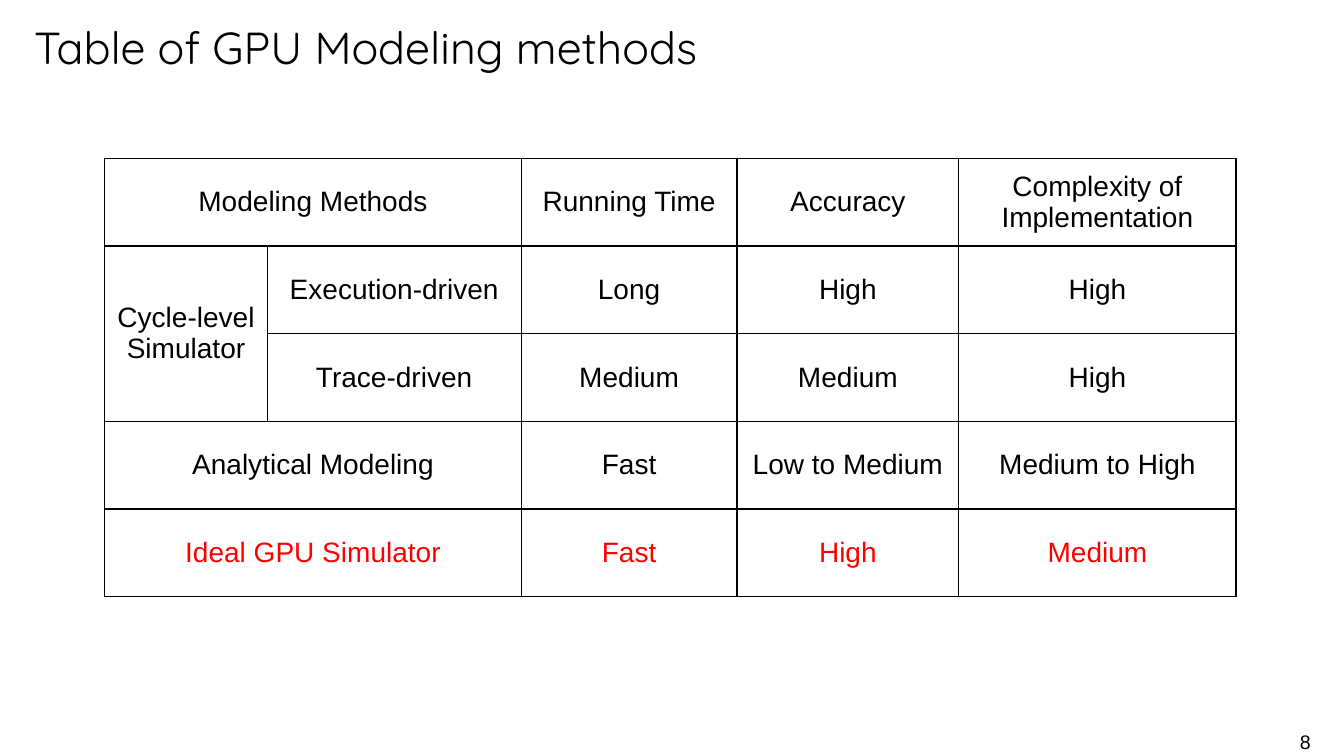
from dataclasses import dataclass

from pptx import Presentation
from pptx import util as u
from pptx.dml.color import RGBColor
from pptx.enum import text
from pptx.oxml import parse_xml
from pptx.oxml.ns import nsdecls

PX = 9144  # EMU per px, 100 px to the inch


@dataclass(frozen=True)
class Theme:
    ink: str = "000000"
    ideal: str = "FF0000"
    title_font: str = "Quicksand"
    body_font: str = "Arial"
    title_size: int = 32
    table_size: int = 20
    number_size: int = 14
    border_points: int = 1


@dataclass(frozen=True)
class Box:
    left: int
    top: int
    width: int
    height: int

    def emu(self) -> tuple[int, ...]:
        return tuple(side * PX for side in (self.left, self.top, self.width, self.height))


@dataclass(frozen=True)
class Label:
    box: Box
    words: str
    font: str
    size: int
    align: text.PP_ALIGN
    anchor: text.MSO_ANCHOR


@dataclass(frozen=True)
class Entry:
    """One table cell, with the rows and columns it spans."""
    row: int
    column: int
    words: str
    rows: int = 1
    columns: int = 1


THEME = Theme()
LABELS = (
    Label(Box(1267, 719, 43, 26), "8", THEME.body_font, THEME.number_size,
          text.PP_ALIGN.RIGHT, text.MSO_ANCHOR.TOP),
    Label(Box(24, 21, 1282, 50), "Table of GPU Modeling methods", THEME.title_font,
          THEME.title_size, text.PP_ALIGN.LEFT, text.MSO_ANCHOR.MIDDLE),
)

TABLE_LEFT, TABLE_TOP = 104, 157
COLUMN_WIDTHS = (161, 252, 214, 220, 275)
ROW_COUNT, ROW_HEIGHT = 5, 87
IDEAL_ROW = ROW_COUNT - 1
METHODS = (
    Entry(0, 0, "Modeling Methods", columns=2),
    Entry(1, 0, "Cycle-level Simulator", rows=2),
    Entry(1, 1, "Execution-driven"),
    Entry(2, 1, "Trace-driven"),
    Entry(3, 0, "Analytical Modeling", columns=2),
    Entry(IDEAL_ROW, 0, "Ideal GPU Simulator", columns=2),
)
RATINGS = (
    ("Running Time", "Accuracy", "Complexity of Implementation"),
    ("Long", "High", "High"),
    ("Medium", "Medium", "High"),
    ("Fast", "Low to Medium", "Medium to High"),
    ("Fast", "High", "Medium"),
)


def write(frame, words: str, font: str, size: int, color: str, align: text.PP_ALIGN) -> None:
    paragraph = frame.paragraphs[0]
    paragraph.alignment = align
    run = paragraph.add_run()
    run.text = words
    run.font.name = font
    run.font.size = u.Pt(size)
    run.font.color.rgb = RGBColor.from_string(color)


def add_label(slide, label: Label) -> None:
    frame = slide.shapes.add_textbox(*label.box.emu()).text_frame
    frame.word_wrap = True
    frame.vertical_anchor = label.anchor
    write(frame, label.words, label.font, label.size, THEME.ink, label.align)


def clear_and_border(cell) -> None:
    """Draw all four sides of a cell, then leave its inside unfilled."""
    properties = cell._tc.get_or_add_tcPr()
    for side in ("lnL", "lnR", "lnT", "lnB"):
        properties.append(parse_xml(
            f'<a:{side} {nsdecls("a")} w="{u.Pt(THEME.border_points)}"><a:solidFill>'
            f'<a:srgbClr val="{THEME.ink}"/></a:solidFill></a:{side}>'))
    cell.fill.background()


def add_methods_table(slide) -> None:
    box = Box(TABLE_LEFT, TABLE_TOP, sum(COLUMN_WIDTHS), ROW_COUNT * ROW_HEIGHT)
    table = slide.shapes.add_table(ROW_COUNT, len(COLUMN_WIDTHS), *box.emu()).table
    table.first_row = table.horz_banding = False
    for column, width in zip(table.columns, COLUMN_WIDTHS):
        column.width = width * PX
    for row in table.rows:
        row.height = ROW_HEIGHT * PX
    for cell in table.iter_cells():
        clear_and_border(cell)

    ratings = [Entry(row, column, words) for row, line in enumerate(RATINGS)
               for column, words in enumerate(line, start=2)]
    for entry in (*METHODS, *ratings):
        cell = table.cell(entry.row, entry.column)
        if entry.rows * entry.columns > 1:
            cell.merge(table.cell(entry.row + entry.rows - 1, entry.column + entry.columns - 1))
        cell.vertical_anchor = text.MSO_ANCHOR.MIDDLE
        color = THEME.ideal if entry.row == IDEAL_ROW else THEME.ink
        write(cell.text_frame, entry.words, THEME.body_font, THEME.table_size, color,
              text.PP_ALIGN.CENTER)


def main() -> None:
    presentation = Presentation()
    presentation.slide_width, presentation.slide_height = 1333 * PX, 750 * PX
    slide = presentation.slides.add_slide(presentation.slide_layouts[6])
    for label in LABELS:
        add_label(slide, label)
    add_methods_table(slide)
    presentation.save("out.pptx")


if __name__ == "__main__":
    main()
